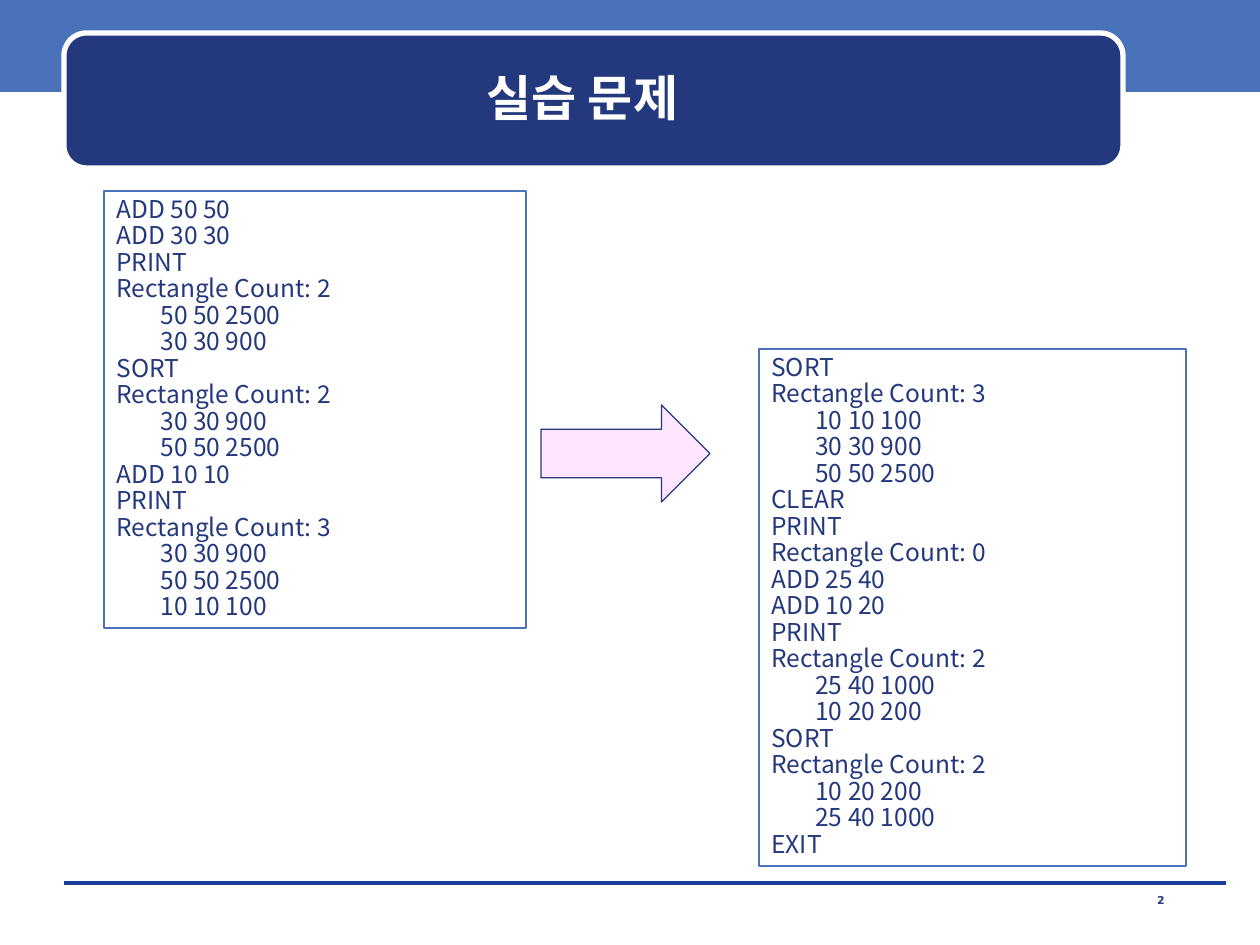
import pptx
import pptx.util
import pptx.dml.color
import pptx.enum.shapes
import pptx.enum.text
import pptx.oxml.ns
from dataclasses import dataclass
from lxml import etree

SHAPE = pptx.enum.shapes.MSO_SHAPE
ALIGN = pptx.enum.text.PP_ALIGN
ANCHOR = pptx.enum.text.MSO_ANCHOR
AUTO = pptx.enum.text.MSO_AUTO_SIZE
qn = pptx.oxml.ns.qn


@dataclass(frozen=True)
class Theme:
    navy: str = "23387D"
    blue: str = "4972BB"
    rule: str = "1A3D97"
    pink: str = "FF9BFF"
    white: str = "FFFFFF"
    font: str = "Noto Sans CJK KR"
    number_font: str = "DejaVu Sans"
    title_size: float = 28
    code_size: float = 14
    number_size: float = 6.2


THEME = Theme()
INDENT = 44

# Each True line is an indented result row
SESSION_START = """ADD 50 50
ADD 30 30
PRINT
Rectangle Count: 2
> 50 50 2500
> 30 30 900
SORT
Rectangle Count: 2
> 30 30 900
> 50 50 2500
ADD 10 10
PRINT
Rectangle Count: 3
> 30 30 900
> 50 50 2500
> 10 10 100"""

SESSION_END = """SORT
Rectangle Count: 3
> 10 10 100
> 30 30 900
> 50 50 2500
CLEAR
PRINT
Rectangle Count: 0
ADD 25 40
ADD 10 20
PRINT
Rectangle Count: 2
> 25 40 1000
> 10 20 200
SORT
Rectangle Count: 2
> 10 20 200
> 25 40 1000
EXIT"""


def px(n):
    return pptx.util.Emu(round(n * 914400 / 126))


def rgb(color):
    return pptx.dml.color.RGBColor.from_string(color)


def add_run(p, text, size, color, font=THEME.font, bold=False):
    r = p.add_run()
    r.text = text
    r.font.size = pptx.util.Pt(size)
    r.font.bold = bold
    r.font.name = font
    r.font.color.rgb = rgb(color)
    ea = etree.SubElement(r.font._element, qn("a:ea"))
    ea.set("typeface", font)


def add_box(s, kind, box, fill=None, line=None, width=0.75, alpha=None):
    sp = s.shapes.add_shape(kind, *map(px, box))
    sp.shadow.inherit = False
    if fill:
        sp.fill.solid()
        sp.fill.fore_color.rgb = rgb(fill)
    else:
        sp.fill.background()
    if alpha:
        color = sp.element.spPr.find(qn("a:solidFill"))[0]
        etree.SubElement(color, qn("a:alpha")).set("val", str(alpha * 1000))
    if line:
        sp.line.color.rgb = rgb(line)
        sp.line.width = pptx.util.Pt(width)
    else:
        sp.line.fill.background()
    return sp


def add_rule(s, x1, x2, y):
    line = s.shapes.add_connector(
        pptx.enum.shapes.MSO_CONNECTOR.STRAIGHT, px(x1), px(y), px(x2), px(y))
    line.line.color.rgb = rgb(THEME.rule)
    line.line.width = 0
    etree.SubElement(line.element.spPr, qn("a:effectLst"))


def set_title(s, text, box):
    title = s.shapes.title
    title.element.getparent().append(title.element)  # bring above the banner
    title.left, title.top, title.width, title.height = map(px, box)
    tf = title.text_frame
    tf.vertical_anchor = ANCHOR.MIDDLE
    p = tf.paragraphs[0]
    p.alignment = ALIGN.CENTER
    add_run(p, text, THEME.title_size, THEME.white, bold=True)


def add_page_number(s, text, box):
    tf = s.shapes.add_textbox(*map(px, box)).text_frame
    tf.word_wrap = True
    p = tf.paragraphs[0]
    p.alignment = ALIGN.CENTER
    p.line_spacing = 0.8
    add_run(p, text, THEME.number_size, THEME.navy, THEME.number_font, True)


def add_session(s, session, box):
    tf = add_box(s, SHAPE.RECTANGLE, box, line=THEME.blue).text_frame
    tf.word_wrap = True
    tf.auto_size = AUTO.SHAPE_TO_FIT_TEXT
    tf.vertical_anchor = ANCHOR.TOP
    for i, row in enumerate(session.splitlines()):
        p = tf.add_paragraph() if i else tf.paragraphs[0]
        p.alignment = ALIGN.LEFT
        p.line_spacing = 0.9
        if row.startswith("> "):
            p._p.get_or_add_pPr().set("marL", str(px(INDENT)))
        add_run(p, row.removeprefix("> "), THEME.code_size, THEME.navy)


def main():
    prs = pptx.Presentation()
    prs.slide_width, prs.slide_height = px(1260), px(945)
    s = prs.slides.add_slide(prs.slide_layouts[5])

    # Frame: top band, footer rule, title banner
    add_box(s, SHAPE.RECTANGLE, (0, 0, 1260, 92), fill=THEME.blue)
    add_rule(s, 64, 1226, 883)
    add_box(s, SHAPE.ROUNDED_RECTANGLE, (64, 33, 1059, 135),
            fill=THEME.navy, line=THEME.white, width=3)
    add_page_number(s, "2", (1017, 890, 288, 30))
    set_title(s, "실습 문제", (76, 44, 1013, 106))

    # Console session, continued from left to right
    add_session(s, SESSION_END, (759, 349, 427, 517))
    add_session(s, SESSION_START, (104, 191, 422, 437))
    add_box(s, SHAPE.RIGHT_ARROW, (541, 405, 169, 97),
            fill=THEME.pink, line=THEME.navy, alpha=26)

    prs.save("out.pptx")


if __name__ == "__main__":
    main()
